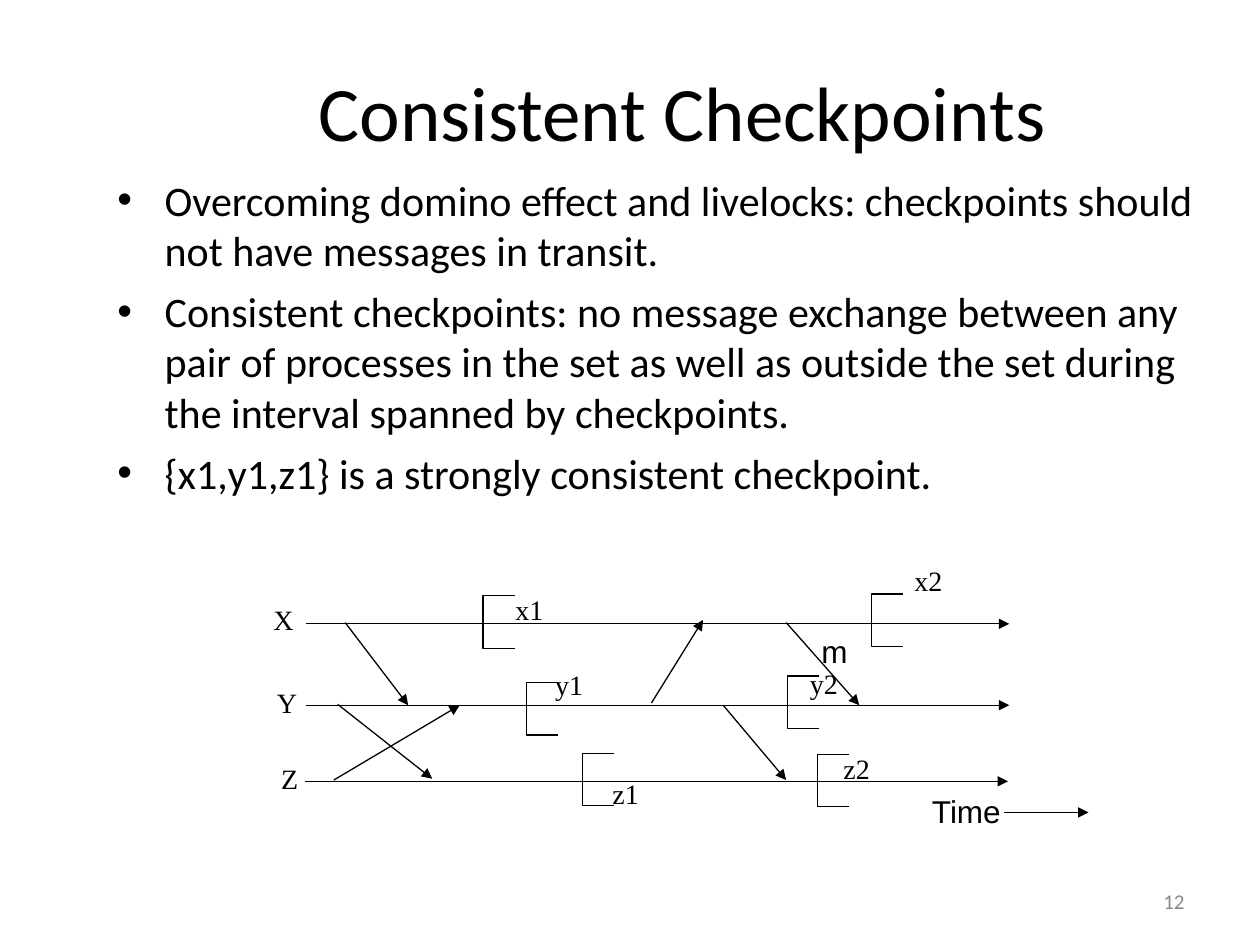
from lxml.etree import SubElement
from pptx import Presentation
from pptx.dml.color import RGBColor
from pptx.enum.shapes import MSO_CONNECTOR
from pptx.enum.text import MSO_ANCHOR as Anchor, MSO_AUTO_SIZE as AutoSize, PP_ALIGN as Align
from pptx.oxml.ns import qn
from pptx.util import Pt

COLORS = {"ink": "000000", "number": "898989"}

prs = Presentation()
prs.slide_width, prs.slide_height = Pt(720), Pt(540)
slide = prs.slides.add_slide(prs.slide_layouts[6])
shapes = slide.shapes


def add_text(lines, box, font, size, align=Align.LEFT, anchor=Anchor.TOP,
             color="ink", wrap=True):
    frame = shapes.add_textbox(*map(Pt, box)).text_frame
    frame.word_wrap = wrap
    frame.auto_size = AutoSize.NONE if wrap else AutoSize.SHAPE_TO_FIT_TEXT
    frame.vertical_anchor = anchor
    frame.text = "\n".join(lines)
    for paragraph in frame.paragraphs:
        paragraph.alignment = align
        paragraph.font.name = font
        paragraph.font.size = Pt(size)
        paragraph.font.color.rgb = RGBColor.from_string(COLORS[color])
    return frame


def add_arrow(x1, y1, x2, y2):
    arrow = shapes.add_connector(MSO_CONNECTOR.STRAIGHT, Pt(x1), Pt(y1), Pt(x2), Pt(y2))
    arrow.line.width = Pt(0.75)
    arrow.line.color.rgb = RGBColor.from_string(COLORS["ink"])
    SubElement(arrow.line._get_or_add_ln(), qn("a:tailEnd"), type="triangle")
    SubElement(arrow._element.spPr, qn("a:effectLst"))


# Slide number and title
add_text(["12"], (516, 500.5, 168, 28.75), "Calibri", 12, Align.RIGHT, Anchor.MIDDLE, "number")
add_text(["Consistent Checkpoints"], (84, 18, 612, 90), "Calibri", 44,
         Align.CENTER, Anchor.MIDDLE)

# Bulleted body
body = add_text([
    "Overcoming domino effect and livelocks: checkpoints should not have messages in transit.",
    "Consistent checkpoints: no message exchange between any pair of processes in the set "
    "as well as outside the set during the interval spanned by checkpoints.",
    "{x1,y1,z1} is a strongly consistent checkpoint.",
], (60, 96, 636, 402), "Calibri", 24)
for paragraph in body.paragraphs:
    paragraph.space_before = Pt(6)
    props = paragraph._p.get_or_add_pPr()
    props.set("marL", str(Pt(27)))
    props.set("indent", str(Pt(-27)))
    SubElement(props, qn("a:buFont"), typeface="Arial")
    SubElement(props, qn("a:buChar"), char="•")
    # The bullet must come before the default run properties
    defaults = props.find(qn("a:defRPr"))
    if defaults is not None:
        props.append(defaults)

# Process timelines: start, y, end
for start, y, end in [(174.25, 446.5, 576), (175, 403, 576.75), (175, 356.5, 576.75)]:
    add_arrow(start, y, end, y)

# Checkpoint brackets, open to the right
BRACKET_W, BRACKET_H = 18, 30
for left, top in [(276, 340.5), (301, 390), (332.75, 430.5),
                  (450, 386.25), (467.25, 431), (498, 339.5)]:
    right, bottom = left + BRACKET_W, top + BRACKET_H
    builder = shapes.build_freeform(Pt(right), Pt(top))
    builder.add_line_segments(
        [(Pt(left), Pt(top)), (Pt(left), Pt(bottom)), (Pt(right), Pt(bottom))], close=False)
    bracket = builder.convert_to_shape()
    bracket.fill.background()
    bracket.line.width = Pt(0.75)
    bracket.line.color.rgb = RGBColor.from_string(COLORS["ink"])
    bracket.shadow.inherit = False

# Process and checkpoint labels
for label, left, top, width in [
    ("X", 149, 340.5, 26), ("Y", 151, 388, 26), ("Z", 153.5, 431.25, 24),
    ("x1", 286.5, 334.75, 32), ("y1", 309.25, 378, 32), ("z1", 341.5, 440, 32),
    ("x2", 514.5, 318.25, 32), ("y2", 454.75, 377.25, 32), ("z2", 473.5, 425.5, 32),
]:
    add_text([label], (left, top, width, 26.5), "Times New Roman", 16,
             Align.CENTER, Anchor.MIDDLE, wrap=False)

# Messages between processes
for message in [
    (197.25, 355.75, 233.25, 403), (190.75, 445.75, 262.75, 403),
    (193, 402.5, 247, 445), (372.25, 401.75, 401.75, 354.25),
    (449.25, 355.75, 491, 403), (413.25, 403, 449.25, 445.75),
]:
    add_arrow(*message)
add_text(["m"], (462.25, 357.75, 42, 29), "Arial", 18)

# Time direction
add_arrow(573.75, 464.25, 622, 464.25)
add_text(["Time"], (525.5, 449.25, 66, 29), "Arial", 18)

prs.save("out.pptx")
